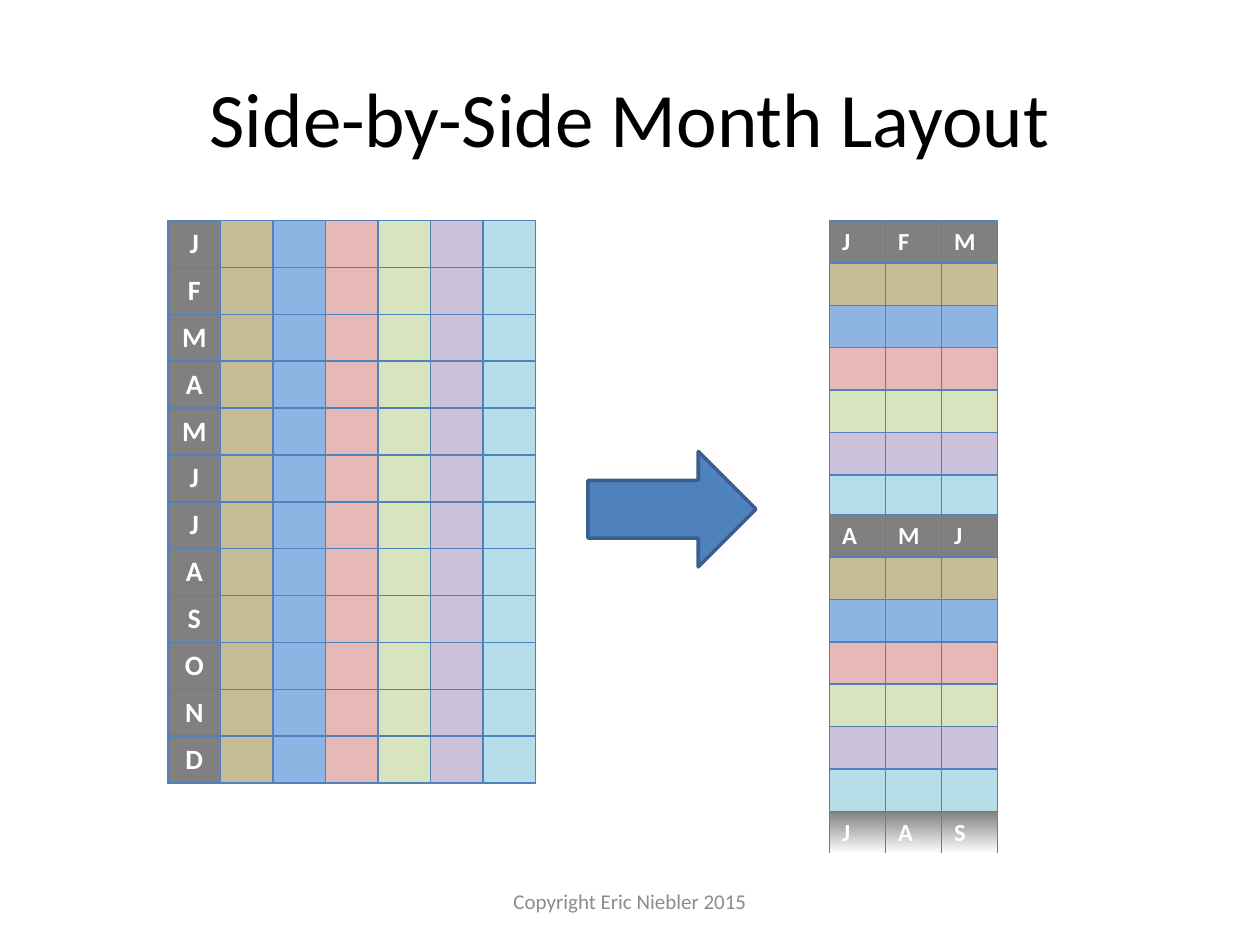
from lxml import etree
from pptx import Presentation
from pptx.dml.color import RGBColor
from pptx.enum.shapes import MSO_SHAPE
from pptx.enum.text import MSO_ANCHOR, PP_ALIGN
from pptx.oxml.ns import qn
from pptx.util import Pt

LEFT, CENTER = PP_ALIGN.LEFT, PP_ALIGN.CENTER
MIDDLE = MSO_ANCHOR.MIDDLE
RIGHT_ARROW = MSO_SHAPE.RIGHT_ARROW

# Content
FONT = "Calibri"
TITLE = "Side-by-Side Month Layout"
FOOTER = "Copyright Eric Niebler 2015"
MONTHS = "JFMAMJJASOND"
WEEKS = ["C4BD97", "8EB4E3", "E6B9B8", "D7E4BD", "CCC1DA", "B7DEE8"]
HEADER, BLUE, DARK_BLUE, WHITE = "808080", "4F81BD", "3A5F8C", "FFFFFF"
FADE = (HEADER, WHITE)

# Tables are rows of (text, fill) cells
year_rows = [[(month, HEADER)] + [("", week) for week in WEEKS] for month in MONTHS]


def quarter_rows(months):
    header = [(month, HEADER) for month in months]
    return [header] + [[("", week)] * len(months) for week in WEEKS]


first_quarter = quarter_rows(MONTHS[:3])
second_quarter = quarter_rows(MONTHS[3:6]) + [[(month, FADE) for month in MONTHS[6:9]]]

# rows, left, top, column width, row height, text size, alignment
TABLES = [
    (year_rows, 96, 126, 30, 26.8, 16, CENTER),
    (first_quarter, 474, 126, 32, 24.25, 14, LEFT),
    (second_quarter, 474, 294, 32, 24.25, 14, LEFT),
]


def color(value):
    return RGBColor.from_string(value)


def add_run(paragraph, text, size, fill, bold=False):
    run = paragraph.add_run()
    run.text = text
    run.font.name = FONT
    run.font.size = Pt(size)
    run.font.bold = bold
    run.font.color.rgb = color(fill)


def add_text(slide, text, left, top, width, height, size, fill):
    frame = slide.shapes.add_textbox(Pt(left), Pt(top), Pt(width), Pt(height)).text_frame
    frame.word_wrap = True
    frame.vertical_anchor = MIDDLE
    frame.paragraphs[0].alignment = CENTER
    add_run(frame.paragraphs[0], text, size, fill)


def set_borders(cell, sides):
    properties = cell._tc.get_or_add_tcPr()
    for side in sides:
        line = etree.SubElement(properties, qn("a:ln" + side), w=str(Pt(1)))
        solid = etree.SubElement(line, qn("a:solidFill"))
        etree.SubElement(solid, qn("a:srgbClr"), val=BLUE)


def fill_cell(cell, fill):
    if fill != FADE:
        cell.fill.solid()
        cell.fill.fore_color.rgb = color(fill)
        return
    cell.fill.gradient()
    cell.fill.gradient_angle = 270
    for stop, value in zip(cell.fill.gradient_stops, fill):
        stop.color.rgb = color(value)


def add_grid(slide, rows, left, top, column_width, row_height, size, alignment):
    columns = len(rows[0])
    table = slide.shapes.add_table(
        len(rows), columns, Pt(left), Pt(top),
        Pt(columns * column_width), Pt(len(rows) * row_height)).table
    table.first_row = table.horz_banding = False
    for column in table.columns:
        column.width = Pt(column_width)
    for r, row in enumerate(rows):
        table.rows[r].height = Pt(row_height)
        for c, (text, fill) in enumerate(row):
            cell = table.cell(r, c)
            cell.margin_top = cell.margin_bottom = 0
            cell.vertical_anchor = MIDDLE
            # The fading row stays open at the bottom
            set_borders(cell, "LRT" if fill == FADE else "LRTB")
            fill_cell(cell, fill)
            if text:
                paragraph = cell.text_frame.paragraphs[0]
                paragraph.alignment = alignment
                add_run(paragraph, text, size, WHITE, bold=True)


def main():
    presentation = Presentation()
    presentation.slide_width, presentation.slide_height = Pt(720), Pt(540)
    slide = presentation.slides.add_slide(presentation.slide_layouts[6])

    # Title and footer
    add_text(slide, TITLE, 36, 21.6, 648, 90, 44, "000000")
    add_text(slide, FOOTER, 246, 500.5, 228, 28.75, 12, "8C8C8C")

    # Month tables
    for table in TABLES:
        add_grid(slide, *table)

    # Arrow between the layouts
    arrow = slide.shapes.add_shape(RIGHT_ARROW, Pt(336), Pt(258), Pt(96), Pt(66))
    arrow.shadow.inherit = False
    arrow.fill.solid()
    arrow.fill.fore_color.rgb = color(BLUE)
    arrow.line.color.rgb = color(DARK_BLUE)
    arrow.line.width = Pt(2)

    presentation.save("out.pptx")


if __name__ == "__main__":
    main()
